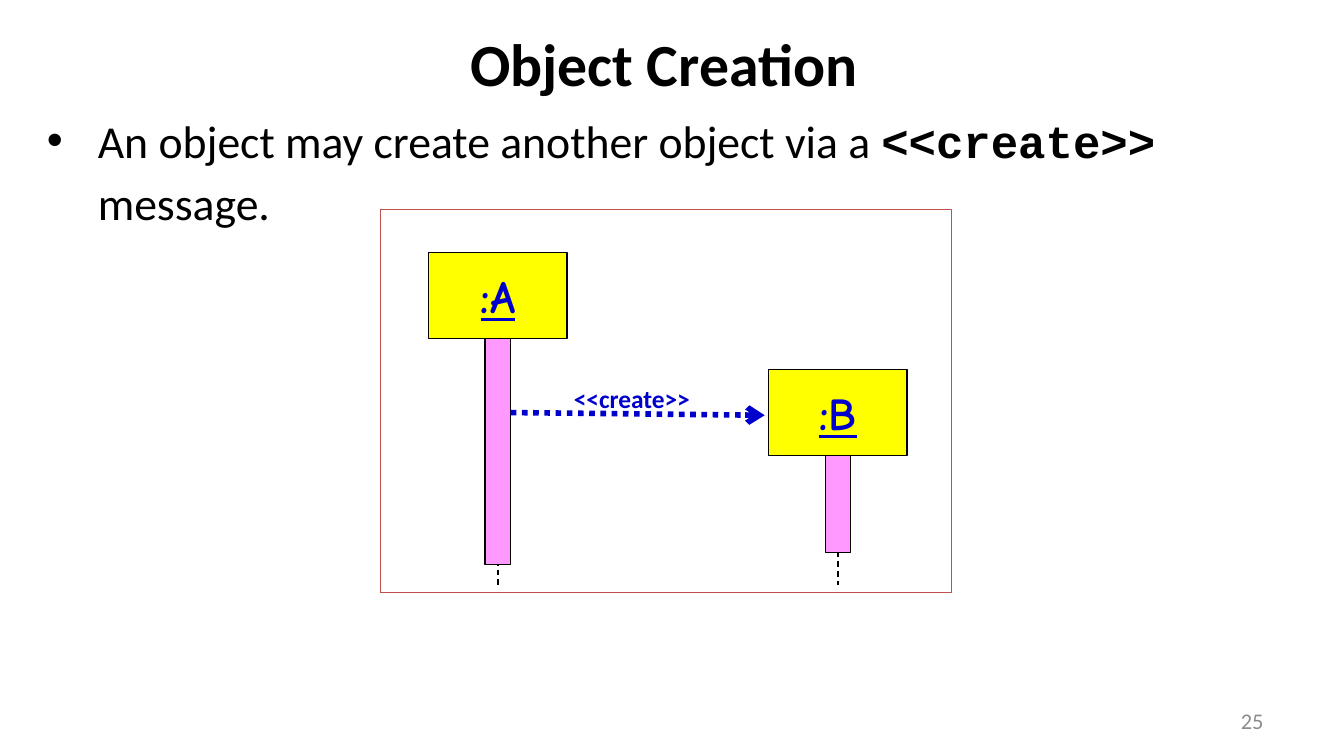
from lxml.etree import SubElement
from pptx import Presentation
from pptx.dml.color import RGBColor
from pptx.enum.dml import MSO_LINE_DASH_STYLE as Dash
from pptx.enum.shapes import MSO_CONNECTOR as Connector, MSO_SHAPE as Shape
from pptx.enum.text import MSO_ANCHOR as Anchor, PP_ALIGN as Align
from pptx.oxml.ns import qn
from pptx.util import Inches, Pt

BLACK = RGBColor(0x00, 0x00, 0x00)
BLUE = RGBColor(0x00, 0x00, 0xCC)
YELLOW = RGBColor(0xFF, 0xFF, 0x00)
PINK = RGBColor(0xFF, 0x99, 0xFF)
RED = RGBColor(0xC0, 0x50, 0x4D)
GRAY = RGBColor(0x8C, 0x8C, 0x8C)

HEAD_W, HEAD_H = 1.03, 0.64
BAR_W = 0.19
LIFELINE_END = 4.35


class SequenceSlide:
    """Draws the parts of a sequence diagram on one slide."""

    body_font = "Calibri"
    object_font = "Comic Neue"
    code_font = "Courier New"

    def __init__(self, prs):
        self.slide = prs.slides.add_slide(prs.slide_layouts[5])
        self.shapes = self.slide.shapes

    def style(self, paragraph, size, color, bold=False, name=None, align=Align.LEFT):
        font = paragraph.font
        font.name = name or self.body_font
        font.size = Pt(size)
        font.bold = bold
        font.color.rgb = color
        paragraph.alignment = align

    def title(self, text, left, top, width, height):
        title = self.shapes.title
        title.left, title.top = Inches(left), Inches(top)
        title.width, title.height = Inches(width), Inches(height)
        title.text_frame.text = text
        title.text_frame.vertical_anchor = Anchor.MIDDLE
        self.style(title.text_frame.paragraphs[0], 32, BLACK, True, align=Align.CENTER)

    def text(self, text, left, top, width, height, size, color, wrap=True, **style):
        box = self.shapes.add_textbox(
            Inches(left), Inches(top), Inches(width), Inches(height))
        frame = box.text_frame
        frame.word_wrap = wrap
        frame.text = text
        self.style(frame.paragraphs[0], size, color, **style)
        return frame

    def bullet(self, before, code, after, left, top, width, height):
        """Add a bulleted sentence with a piece of code inside it."""
        frame = self.text(before, left, top, width, height, 24.5, BLACK)
        sentence = frame.paragraphs[0]
        sentence.line_spacing = 1.14
        sentence.space_before = Pt(4.9)
        code_run = sentence.add_run()
        code_run.text = code
        code_run.font.name = self.code_font
        code_run.font.bold = True
        sentence.add_run().text = after
        props = sentence._p.get_or_add_pPr()
        props.set("marL", str(Inches(0.38)))
        props.set("indent", str(-Inches(0.38)))
        bullet_font = props.makeelement(qn("a:buFont"), {"typeface": "Arial"})
        bullet_char = props.makeelement(qn("a:buChar"), {"char": "•"})
        for bullet_part in (bullet_font, bullet_char):
            props.insert_element_before(bullet_part, "a:tabLst", "a:defRPr", "a:extLst")

    def box(self, left, top, width, height, fill=None, line=BLACK):
        box = self.shapes.add_shape(
            Shape.RECTANGLE, Inches(left), Inches(top), Inches(width), Inches(height))
        box.shadow.inherit = False
        if fill is None:
            box.fill.background()
        else:
            box.fill.solid()
            box.fill.fore_color.rgb = fill
        box.line.color.rgb = line
        box.line.width = Pt(0.75)
        return box

    def line(self, start, end, color, width, dash, arrow=False):
        line = self.shapes.add_connector(
            Connector.STRAIGHT, *(Inches(value) for value in (*start, *end)))
        line.line.color.rgb = color
        line.line.width = Pt(width)
        line.line.dash_style = dash
        if arrow:
            SubElement(line.line._get_or_add_ln(), qn("a:tailEnd"), type="arrow")
        SubElement(line._element.spPr, qn("a:effectLst"))
        return line

    def participant(self, name, left, top, bar_height):
        """Add an object's head with its lifeline and activation bar."""
        center, bottom = left + HEAD_W / 2, top + HEAD_H
        head = self.box(left, top, HEAD_W, HEAD_H, YELLOW)
        frame = head.text_frame
        frame.word_wrap = False
        frame.vertical_anchor = Anchor.MIDDLE
        self.inset(frame)
        frame.text = name
        label = frame.paragraphs[0]
        self.style(label, 24.5, BLUE, True, self.object_font, Align.CENTER)
        label.font.underline = True
        lifeline = self.line((center, bottom), (center, LIFELINE_END), BLACK, 0.75, Dash.DASH)
        lifeline.begin_connect(head, 2)
        self.box(center - BAR_W / 2, bottom, BAR_W, bar_height, PINK)

    def inset(self, frame):
        frame.margin_left = frame.margin_right = Inches(0.07)
        frame.margin_top = frame.margin_bottom = Inches(0.04)

    def message(self, text, start, end, label_left, label_top):
        self.line(start, end, BLUE, 3, Dash.ROUND_DOT, arrow=True)
        label = self.text(text, label_left, label_top, 1.03, 0.3, 13.6, BLUE,
                          wrap=False, bold=True)
        self.inset(label)


def main():
    prs = Presentation()
    prs.slide_width = Inches(10)
    prs.slide_height = prs.slide_width * 9 // 16
    page = SequenceSlide(prs)
    page.title("Object Creation", 1.74, 0, 6.4, 0.93)
    page.bullet("An object may create another object via a ", "<<create>> ", "message.",
                0.25, 0.73, 9.33, 4.24)
    page.box(2.83, 1.56, 4.25, 2.85, line=RED)
    page.participant(":A", 3.19, 1.88, bar_height=1.68)
    page.participant(":B", 5.72, 2.75, bar_height=0.72)
    page.message("<<create>>", (3.8, 3.07), (5.69, 3.09), 4.2, 2.81)
    number = page.text("25", 7.17, 5.21, 2.33, 0.3, 12, GRAY, align=Align.RIGHT)
    number.vertical_anchor = Anchor.MIDDLE
    prs.save("out.pptx")


if __name__ == "__main__":
    main()
